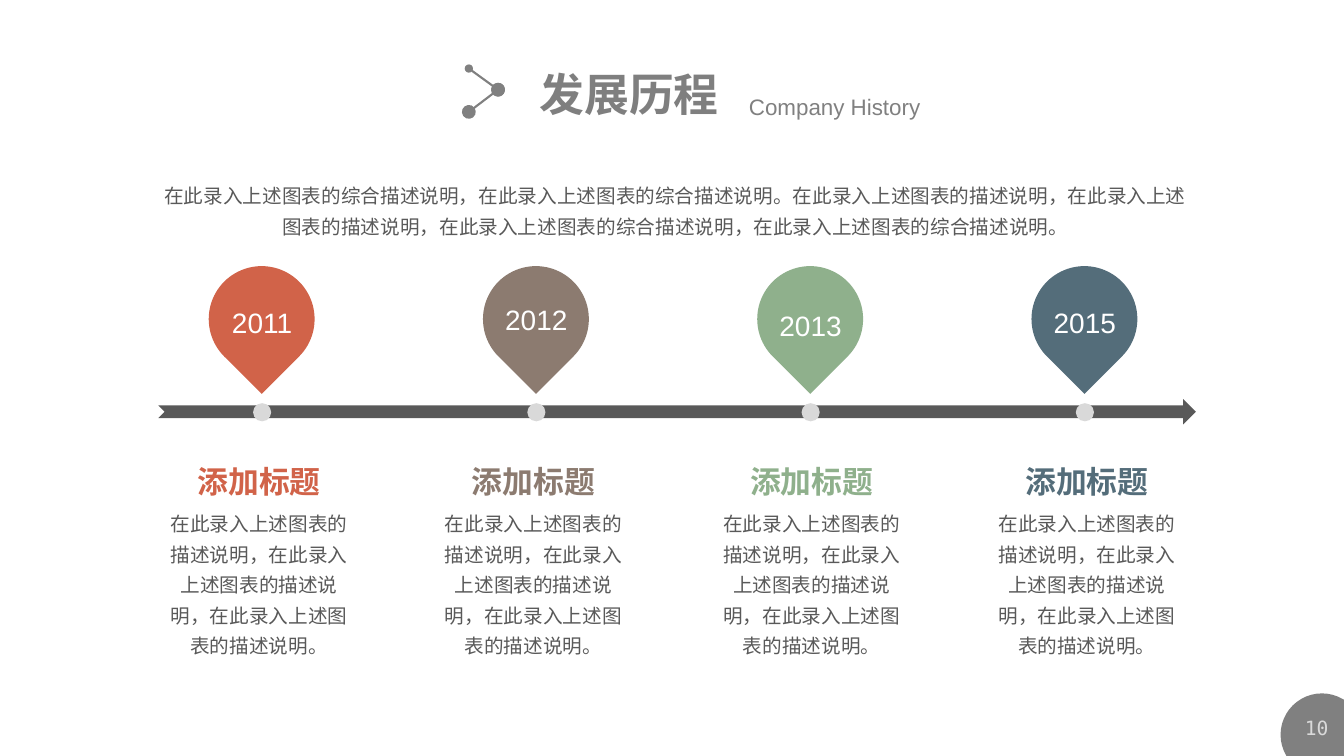
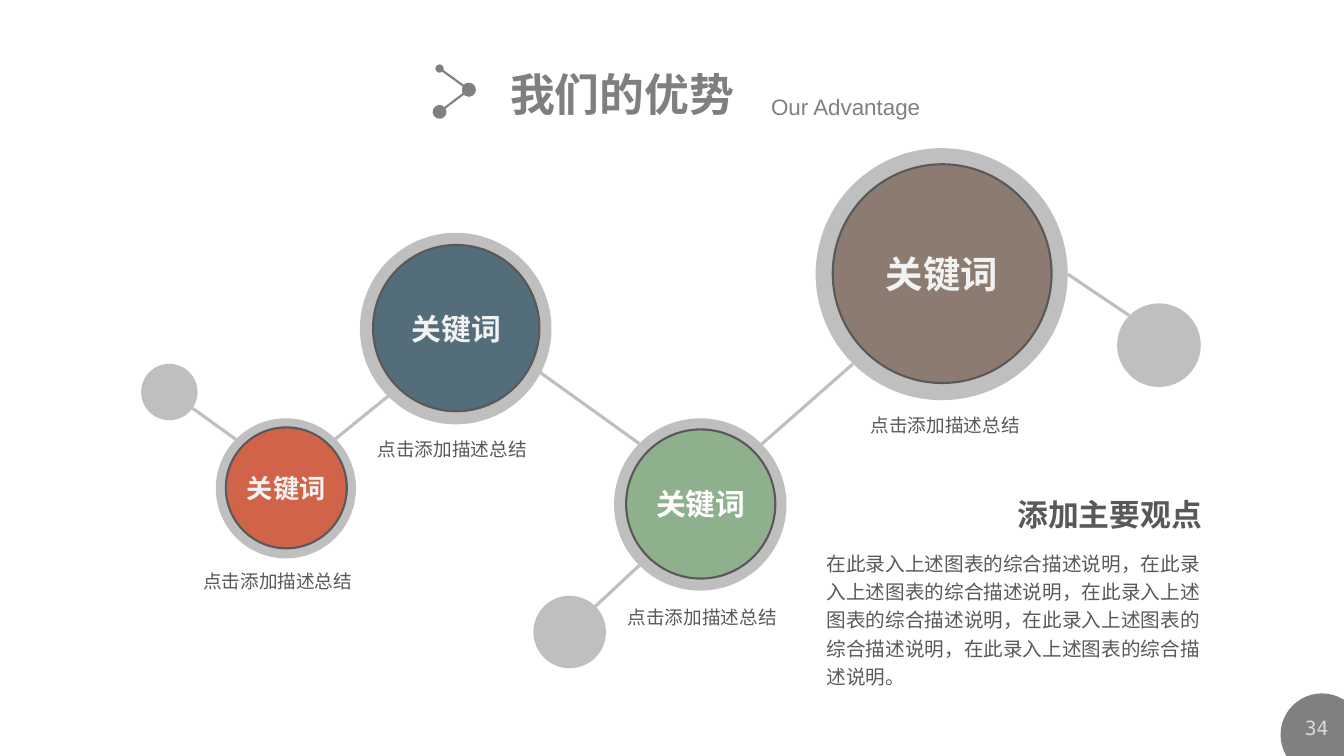
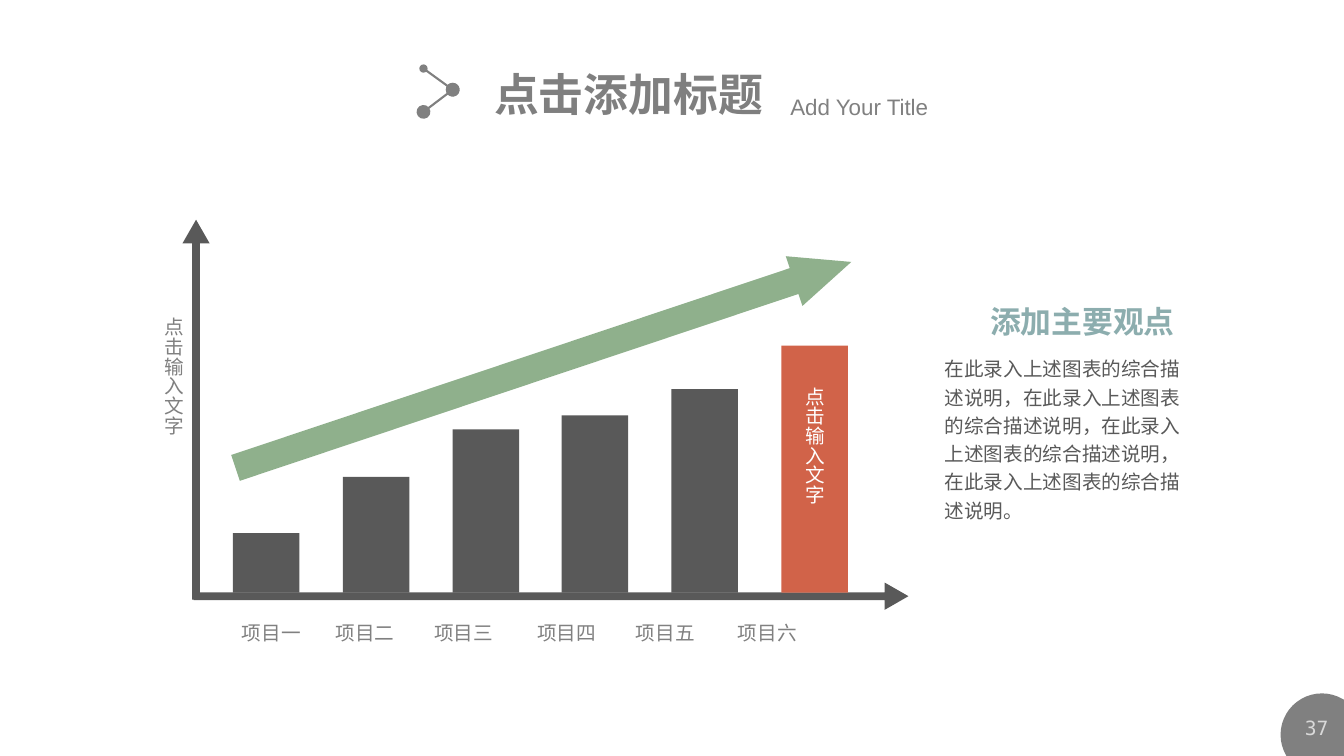
"""Builds three company slides: history timeline, advantages network and growth bars."""
from dataclasses import dataclass

from lxml import etree
from pptx import Presentation
from pptx.dml.color import RGBColor
from pptx.enum.shapes import MSO_CONNECTOR, MSO_SHAPE
from pptx.enum.text import MSO_ANCHOR, MSO_AUTO_SIZE, PP_ALIGN
from pptx.oxml.ns import qn
from pptx.shapes.base import BaseShape
from pptx.shapes.connector import Connector
from pptx.slide import Slide
from pptx.util import Emu, Pt

EMU_PER_PX = 9144
SLIDE_W, SLIDE_H = 1333, 750
TITLE_ONLY = 5

LEFT, CENTER, RIGHT = PP_ALIGN.LEFT, PP_ALIGN.CENTER, PP_ALIGN.RIGHT
TOP, MIDDLE = MSO_ANCHOR.TOP, MSO_ANCHOR.MIDDLE
STRAIGHT = MSO_CONNECTOR.STRAIGHT
ELLIPSE, RECT, TEARDROP = MSO_SHAPE.OVAL, MSO_SHAPE.RECTANGLE, MSO_SHAPE.TEAR
NOTCHED, RIGHT_ARROW, UP_ARROW = (
    MSO_SHAPE.NOTCHED_RIGHT_ARROW, MSO_SHAPE.RIGHT_ARROW, MSO_SHAPE.UP_ARROW)


@dataclass(frozen=True)
class Theme:
    red: str = "D16349"
    brown: str = "8C7B70"
    green: str = "8FB08C"
    blue: str = "546D7A"
    teal: str = "8CADAE"
    dark: str = "595959"
    title: str = "7F7F7F"
    grey: str = "808080"
    ring: str = "BFBFBF"
    pale: str = "D9D9D9"
    light: str = "F2F2F2"
    white: str = "FFFFFF"
    latin: str = "Arial"
    cjk: str = "Noto Sans CJK SC"
    mono: str = "DejaVu Sans Mono"
    title_size: float = 32
    heading_size: float = 22
    year_size: float = 20
    subtitle_size: float = 16
    body_size: float = 14
    caption_size: float = 13.3


T = Theme()


@dataclass(frozen=True)
class Style:
    size: float
    color: str
    font: str = T.cjk
    bold: bool = False
    align: PP_ALIGN = LEFT
    anchor: MSO_ANCHOR = TOP
    spacing: float | None = None
    inset: tuple[int, int] = (10, 5)
    wrap: bool = True


@dataclass(frozen=True)
class Box:
    left: int
    top: int
    width: int
    height: int


@dataclass(frozen=True)
class Header:
    title: str
    subtitle: str
    left: int
    width: int
    subtitle_left: int
    page: int


@dataclass(frozen=True)
class Milestone:
    year: str
    color: str
    year_top: int
    caption_center: int


@dataclass(frozen=True)
class Node:
    ring: Box
    inner: int
    color: str
    size: float
    text_color: str
    caption_left: int
    caption_top: int
    caption_height: int


@dataclass(frozen=True)
class Link:
    x1: int
    y1: int
    x2: int
    y2: int


TITLE = Style(T.title_size, T.title, T.latin, bold=True, wrap=False)
SUBTITLE = Style(T.subtitle_size, T.grey, T.latin)
PAGE = Style(T.body_size, T.pale, T.mono, align=CENTER, inset=(7, 4))
YEAR = Style(T.year_size, T.white, T.latin, align=CENTER)
SUMMARY = Style(T.body_size, T.dark, align=CENTER, spacing=1.3)
CAPTION = Style(T.caption_size, T.dark, align=CENTER, spacing=Pt(18.8), inset=(12, 6))
BODY = Style(T.body_size, T.dark, spacing=1.2)
AXIS_LABEL = Style(T.body_size, T.grey)

POINT = "在此录入上述图表的综合描述说明"
MILESTONES = [
    Milestone("2011", T.red, 298, 257),
    Milestone("2012", T.brown, 295, 529),
    Milestone("2013", T.green, 301, 805),
    Milestone("2015", T.blue, 298, 1078),
]
NODES = [
    Node(Box(214, 415, 139, 139), 120, T.red, 18.7, T.light, 176, 555, 39),
    Node(Box(357, 231, 190, 190), 165, T.blue, 21.3, T.light, 349, 425, 36),
    Node(Box(609, 415, 171, 171), 148, T.green, 21.3, T.white, 597, 591, 36),
    Node(Box(809, 147, 250, 250), 217, T.brown, 26.7, T.light, 838, 401, 39),
]
LINKS = [
    Link(332, 436, 385, 393), Link(535, 369, 634, 440), Link(755, 441, 846, 361),
    Link(191, 405, 234, 436), Link(590, 602, 634, 561), Link(1059, 272, 1120, 313),
]
SATELLITES = [Box(140, 361, 56, 56), Box(529, 591, 72, 72), Box(1108, 301, 83, 83)]
BAR_HEIGHTS = [59, 115, 162, 176, 202, 245]
BAR_LEFT, BAR_STEP, BAR_WIDTH, BAR_BASE = 231, 108.8, 66, 588
ITEM_TABS = [93, 191, 293, 391, 492]


def px(value: float) -> Emu:
    """Turn slide pixels into EMU."""
    return Emu(round(value * EMU_PER_PX))


def place(box: Box) -> tuple[Emu, Emu, Emu, Emu]:
    """Return the EMU position and size of a box."""
    return px(box.left), px(box.top), px(box.width), px(box.height)


def write(s: BaseShape, text: str, style: Style) -> None:
    """Put one styled paragraph into a shape."""
    tf = s.text_frame
    tf.auto_size = MSO_AUTO_SIZE.NONE
    tf.word_wrap = style.wrap
    tf.vertical_anchor = style.anchor
    tf.margin_left = tf.margin_right = px(style.inset[0])
    tf.margin_top = tf.margin_bottom = px(style.inset[1])
    p = tf.paragraphs[0]
    p.text = text
    p.alignment = style.align
    p._p.get_or_add_pPr().set("hangingPunct", "0")
    if style.spacing is not None:
        p.line_spacing = style.spacing
    for r in p.runs:
        r.font.size = Pt(style.size)
        r.font.bold = style.bold
        r.font.color.rgb = RGBColor.from_string(style.color)
        r.font.name = style.font
        ea = etree.SubElement(r.font._element, qn("a:ea"))
        ea.set("typeface", T.cjk)


def label(slide: Slide, box: Box, text: str, style: Style) -> BaseShape:
    """Add a text box."""
    s = slide.shapes.add_textbox(*place(box))
    write(s, text, style)
    return s


def paint(s: BaseShape, fill: str, outline: str | None = None) -> None:
    """Give a shape a flat fill and an optional outline."""
    s.shadow.inherit = False
    s.fill.solid()
    s.fill.fore_color.rgb = RGBColor.from_string(fill)
    if outline:
        s.line.color.rgb = RGBColor.from_string(outline)
        s.line.width = Pt(1.5)
    else:
        s.line.fill.background()


def shape(slide: Slide, kind: MSO_SHAPE, box: Box, fill: str, outline: str | None = None,
          rotation: float = 0, adjust: tuple[float, ...] = ()) -> BaseShape:
    """Add a preset shape."""
    s = slide.shapes.add_shape(kind, *place(box))
    paint(s, fill, outline)
    s.rotation = rotation
    for i, value in enumerate(adjust):
        s.adjustments[i] = value
    return s


def connect(slide: Slide, link: Link, color: str, width: float) -> Connector:
    """Add a straight line without shadow."""
    s = slide.shapes.add_connector(
        STRAIGHT, px(link.x1), px(link.y1), px(link.x2), px(link.y2))
    s.line.color.rgb = RGBColor.from_string(color)
    s.line.width = Pt(width)
    etree.SubElement(s.element.spPr, qn("a:effectLst"))
    return s


def add_icon(slide: Slide, left: int) -> None:
    """Draw the dotted angle beside the title."""
    tip = left + 29
    for link, start in ((Link(left, 68, tip, 89), "med"), (Link(tip, 89, left, 111), "lg")):
        s = connect(slide, link, T.grey, 1.5)
        ln = s.element.spPr.find(qn("a:ln"))
        for tag, size in (("a:headEnd", start), ("a:tailEnd", "lg")):
            etree.SubElement(ln, qn(tag), type="oval", w=size, len=size)


def add_corner_disc(slide: Slide) -> None:
    """Move a disc, cut at the slide edges, onto the layout of the slide."""
    radius = str(px(41))
    corners = [(1270, 729), (1311, 688), (SLIDE_W, 694), (SLIDE_W, SLIDE_H)]
    builder = slide.shapes.build_freeform(px(1276), px(SLIDE_H))
    builder.add_line_segments([(px(x), px(y)) for x, y in corners], close=True)
    s = builder.convert_to_shape()
    paint(s, T.grey)
    segments = list(s.element.iter(qn("a:lnTo")))
    for segment, start, sweep in zip(segments, (149, 180, 270), (31, 90, 32)):
        arc = etree.Element(qn("a:arcTo"), wR=radius, hR=radius,
                            stAng=str(start * 60000), swAng=str(sweep * 60000))
        segment.getparent().replace(segment, arc)
    slide.slide_layout.shapes.element.append(s.element)


def new_slide(prs: Presentation, header: Header) -> Slide:
    """Add a slide with the shared title band and page number."""
    slide = prs.slides.add_slide(prs.slide_layouts[TITLE_ONLY])
    label(slide, Box(1281, 706, 50, 31), str(header.page), PAGE)
    title = slide.shapes.title
    title.left, title.top, title.width, title.height = place(
        Box(header.left, 61, header.width, 64))
    write(title, header.title, TITLE)
    label(slide, Box(header.subtitle_left, 88, 252, 37), header.subtitle, SUBTITLE)
    add_icon(slide, header.left - 60)
    return slide


def add_main_point(slide: Slide, heading: Box, body: Box, color: str, repeats: int) -> None:
    """Add the right-aligned heading and its paragraph."""
    style = Style(T.heading_size, color, bold=True, align=RIGHT, inset=(13, 6))
    label(slide, heading, "添加主要观点", style)
    label(slide, body, "，".join([POINT] * repeats) + "。", BODY)


def build_history(prs: Presentation) -> None:
    """Draw the timeline slide."""
    slide = new_slide(prs, Header("发展历程", "Company History", 525, 200, 733, 10))
    add_corner_disc(slide)
    detail = "在此录入上述图表的描述说明"
    summary = f"{POINT}，{POINT}。{detail}，{detail}，{POINT}，{POINT}。"
    label(slide, Box(146, 171, 1048, 71), summary, SUMMARY)
    shape(slide, NOTCHED, Box(157, 396, 1029, 25), T.dark)
    for i, m in enumerate(MILESTONES):
        center = 260 + 272 * i
        shape(slide, ELLIPSE, Box(center - 9, 400, 18, 18), T.pale)
        shape(slide, TEARDROP, Box(center - 53, 264, 105, 105), m.color, rotation=135)
        label(slide, Box(center - 45, m.year_top, 90, 44), m.year, YEAR)
        heading = Style(T.heading_size, m.color, bold=True, align=CENTER, wrap=False)
        label(slide, Box(m.caption_center - 72, 454, 144, 47), "添加标题", heading)
        label(slide, Box(m.caption_center - 106, 496, 212, 163),
              "，".join([detail] * 3) + "。", SUMMARY)


def build_advantage(prs: Presentation) -> None:
    """Draw the network slide."""
    slide = new_slide(prs, Header("我们的优势", "Our Advantage", 496, 244, 755, 34))
    for n in NODES:
        shape(slide, ELLIPSE, n.ring, T.ring)
        gap = (n.ring.width - n.inner) // 2
        disc = Box(n.ring.left + gap + 1, n.ring.top + gap, n.inner, n.inner)
        s = shape(slide, ELLIPSE, disc, n.color, T.dark)
        write(s, "关键词", Style(n.size, n.text_color, bold=True, align=CENTER,
                              anchor=MIDDLE, inset=(0, 0), wrap=False))
        label(slide, Box(n.caption_left, n.caption_top, 199, n.caption_height),
              "点击添加描述总结", CAPTION)
    for link in LINKS:
        connect(slide, link, T.ring, 2.25)
    for box in SATELLITES:
        shape(slide, ELLIPSE, box, T.ring)
    add_main_point(slide, Box(866, 486, 339, 50), Box(810, 538, 400, 152), T.dark, 5)


def add_vertical_label(slide: Slide, left: int, top: int, color: str) -> None:
    """Add a label set in upright vertical characters."""
    style = Style(T.body_size, color, anchor=MIDDLE, inset=(0, 8))
    s = label(slide, Box(left, top, 44, 140), "点击输入文字", style)
    s.element.txBody.bodyPr.set("vert", "eaVert")


def build_growth(prs: Presentation) -> None:
    """Draw the growth bars slide."""
    slide = new_slide(prs, Header("点击添加标题", "Add Your Title", 480, 290, 774, 37))
    for kind, box in ((UP_ARROW, Box(181, 218, 27, 377)),
                      (RIGHT_ARROW, Box(192, 578, 709, 27))):
        shape(slide, kind, box, T.dark, adjust=(0.285, 0.872))
    last = len(BAR_HEIGHTS) - 1
    for i, height in enumerate(BAR_HEIGHTS):
        bar = Box(round(BAR_LEFT + BAR_STEP * i), BAR_BASE - height, BAR_WIDTH, height)
        shape(slide, RECT, bar, T.red if i == last else T.dark)
    shape(slide, RIGHT_ARROW, Box(217, 336, 644, 52), T.green,
          rotation=341.5, adjust=(0.52, 1.15))
    items = "\t".join(f"项目{n}" for n in "一二三四五六")
    s = label(slide, Box(230, 611, 640, 34), items, AXIS_LABEL)
    tabs = etree.SubElement(s.text_frame.paragraphs[0]._p.get_or_add_pPr(), qn("a:tabLst"))
    for position in ITEM_TABS:
        etree.SubElement(tabs, qn("a:tab"), pos=str(px(position)), algn="l")
    add_vertical_label(slide, 150, 307, T.grey)
    add_vertical_label(slide, 786, 376, T.white)
    add_main_point(slide, Box(951, 294, 227, 50), Box(927, 345, 254, 180), T.teal, 4)


def main() -> None:
    """Build and save the presentation."""
    prs = Presentation()
    prs.slide_width, prs.slide_height = px(SLIDE_W), px(SLIDE_H)
    build_history(prs)
    build_advantage(prs)
    build_growth(prs)
    prs.save("out.pptx")


if __name__ == "__main__":
    main()
